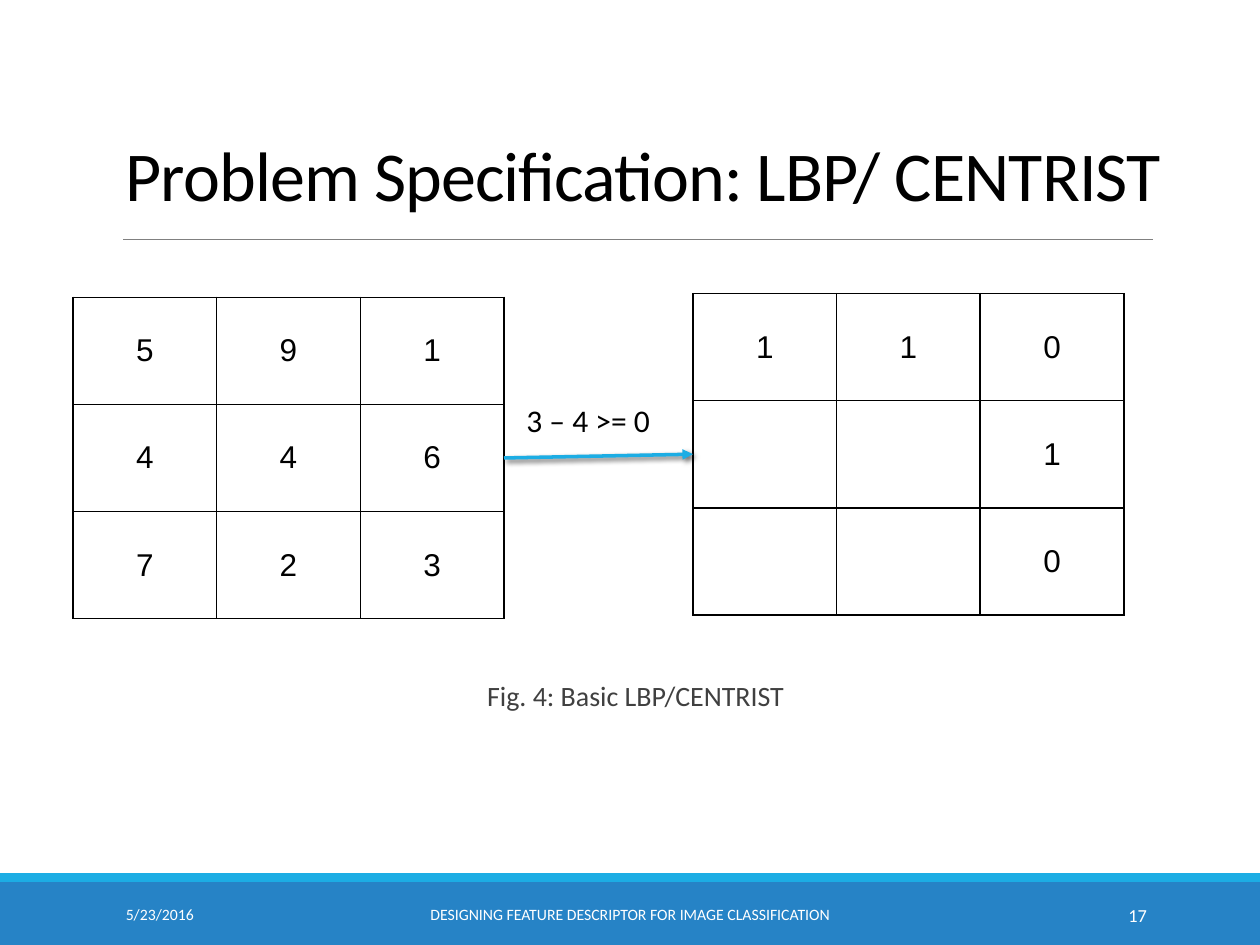
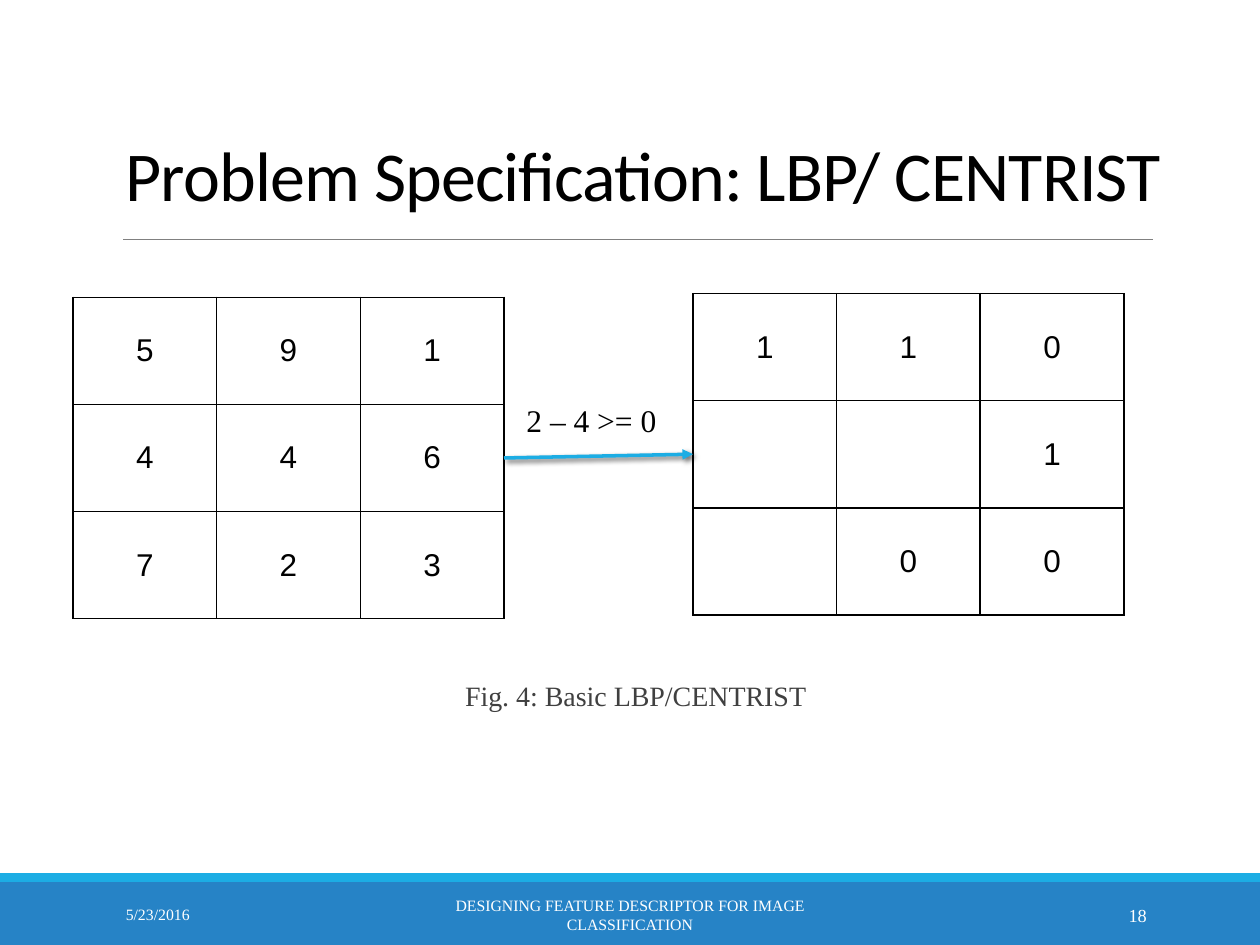
from lxml import etree
from pptx import Presentation
from pptx.dml.color import RGBColor
from pptx.enum.shapes import MSO_CONNECTOR, MSO_SHAPE
from pptx.enum.text import MSO_ANCHOR, PP_ALIGN
from pptx.oxml import parse_xml
from pptx.oxml.ns import nsdecls, qn
from pptx.util import Inches, Pt

LEFT, CENTER, RIGHT = PP_ALIGN.LEFT, PP_ALIGN.CENTER, PP_ALIGN.RIGHT
TOP, MIDDLE, BOTTOM = MSO_ANCHOR.TOP, MSO_ANCHOR.MIDDLE, MSO_ANCHOR.BOTTOM
RECT, STRAIGHT = MSO_SHAPE.RECTANGLE, MSO_CONNECTOR.STRAIGHT

BLACK = RGBColor(0x00, 0x00, 0x00)
WHITE = RGBColor(0xFF, 0xFF, 0xFF)
CAPTION_GRAY = RGBColor(0x40, 0x40, 0x40)
RULE_GRAY = RGBColor(0x80, 0x80, 0x80)
BLUE = RGBColor(0x26, 0x83, 0xC6)
LIGHT_BLUE = RGBColor(0x1C, 0xAD, 0xE4)

TITLE = "Problem Specification: LBP/ CENTRIST"
CAPTION = "Fig. 4: Basic LBP/CENTRIST"
DATE = "5/23/2016"
FOOTER = "DESIGNING FEATURE DESCRIPTOR FOR IMAGE CLASSIFICATION"
PIXELS = ["591", "446", "723"]
SLIDES = [
    {"number": "17", "font": "Calibri", "test": "3 – 4 >= 0",
     "bits": ["110", "  1", "  0"]},
    {"number": "18", "font": "Times New Roman", "test": "2 – 4 >= 0",
     "bits": ["110", "  1", " 00"]},
]

BANDS = [((0, 7, 10, 0.5), BLUE), ((0, 6.93, 10, 0.07), LIGHT_BLUE)]
COL_W, ROW_H = 1.14, 0.85
PIXELS_AT, BITS_AT = (0.58, 2.36), (5.5, 2.33)
FOOTER_TOP, FOOTER_H = 7.06, 0.4

SHADOW = f"""<a:effectLst {nsdecls("a")}>
  <a:outerShdw blurRad="38100" dist="25400" dir="2700000" rotWithShape="0">
    <a:srgbClr val="000000"><a:alpha val="60000"/></a:srgbClr>
  </a:outerShdw>
</a:effectLst>"""
NO_EFFECT = f'<a:effectLst {nsdecls("a")}/>'


def add_text(slide, box, text, font, size, color, align=LEFT, anchor=TOP,
             side_inset=0.1, line_spacing=None):
    tf = slide.shapes.add_textbox(*map(Inches, box)).text_frame
    frame_format = {"word_wrap": True, "vertical_anchor": anchor,
                    "margin_left": Inches(side_inset),
                    "margin_right": Inches(side_inset)}
    for name, value in frame_format.items():
        setattr(tf, name, value)
    p = tf.paragraphs[0]
    p.alignment, p.line_spacing = align, line_spacing
    return add_run(p, text, font, size, color)


def add_run(p, text, font, size, color):
    r = p.add_run()
    r.text = text
    for name, value in {"name": font, "size": Pt(size)}.items():
        setattr(r.font, name, value)
    r.font.color.rgb = color
    return r


def add_line(slide, start, end, color, width, effects=NO_EFFECT):
    line = slide.shapes.add_connector(STRAIGHT, *map(Inches, start + end))
    line.line.color.rgb = color
    line.line.width = Pt(width)
    line._element.spPr.append(parse_xml(effects))
    return line


def add_border(cell):
    tcPr = cell._tc.get_or_add_tcPr()
    for side in ("lnL", "lnR", "lnT", "lnB"):
        ln = etree.SubElement(tcPr, qn(f"a:{side}"), w=str(Pt(1)))
        fill = etree.SubElement(ln, qn("a:solidFill"))
        etree.SubElement(fill, qn("a:srgbClr"), val=str(BLACK))


def add_grid(slide, at, rows):
    """Draw strings as table rows, one character per cell."""
    n_rows, n_cols = len(rows), len(rows[0])
    size = (n_cols * COL_W, n_rows * ROW_H)
    table = slide.shapes.add_table(n_rows, n_cols, *map(Inches, at + size)).table
    table.first_row = table.horz_banding = False
    for col in table.columns:
        col.width = Inches(COL_W)
    for r, row in enumerate(rows):
        table.rows[r].height = Inches(ROW_H)
        for c, value in enumerate(row):
            cell = table.cell(r, c)
            cell.vertical_anchor = MIDDLE
            add_border(cell)
            cell.fill.background()
            if value.strip():
                p = cell.text_frame.paragraphs[0]
                p.alignment = CENTER
                add_run(p, value, "Arial", 18, BLACK)


def add_frame(slide, number, font):
    """Add the bands, title, rule and footers that every slide has."""
    for box, color in BANDS:
        sp = slide.shapes.add_shape(RECT, *map(Inches, box))
        sp.shadow.inherit = False
        sp.fill.solid()
        sp.fill.fore_color.rgb = color
        sp.line.fill.background()
    add_line(slide, (0.98, 1.9), (9.15, 1.9), RULE_GRAY, 0.5)
    title = add_text(slide, (0.9, 0.17, 8.96, 1.59), TITLE, "Calibri", 40, BLACK,
                     anchor=BOTTOM, line_spacing=0.85)
    title.font._element.set("spc", "-50")
    footers = [(0.9, 2.03, DATE, 9, LEFT), (3.02, 3.96, FOOTER, 9, CENTER),
               (8.12, 1.08, number, 10.5, RIGHT)]
    for left, width, text, size, align in footers:
        add_text(slide, (left, FOOTER_TOP, width, FOOTER_H), text, font, size,
                 WHITE, align, MIDDLE)


def add_comparison(slide, test, bits, font):
    add_grid(slide, PIXELS_AT, PIXELS)
    add_grid(slide, BITS_AT, bits)
    start = (PIXELS_AT[0] + 3 * COL_W, PIXELS_AT[1] + 1.5 * ROW_H)
    end = (BITS_AT[0], BITS_AT[1] + 1.5 * ROW_H)
    arrow = add_line(slide, start, end, LIGHT_BLUE, 2, SHADOW)
    ln = arrow._element.spPr.find(qn("a:ln"))
    etree.SubElement(ln, qn("a:tailEnd"), type="triangle")
    add_text(slide, (4.08, 3.13, 1.33, 0.4), test, font, 18, BLACK)
    add_text(slide, (1.42, 5.37, 7.25, 0.55), CAPTION, font, 16, CAPTION_GRAY,
             CENTER, side_inset=0, line_spacing=0.9)


def main():
    prs = Presentation()
    prs.slide_width, prs.slide_height = Inches(10), Inches(7.5)
    for spec_row in SLIDES:
        slide = prs.slides.add_slide(prs.slide_layouts[6])
        add_frame(slide, spec_row["number"], spec_row["font"])
        add_comparison(slide, spec_row["test"], spec_row["bits"], spec_row["font"])
    prs.save("out.pptx")


if __name__ == "__main__":
    main()
